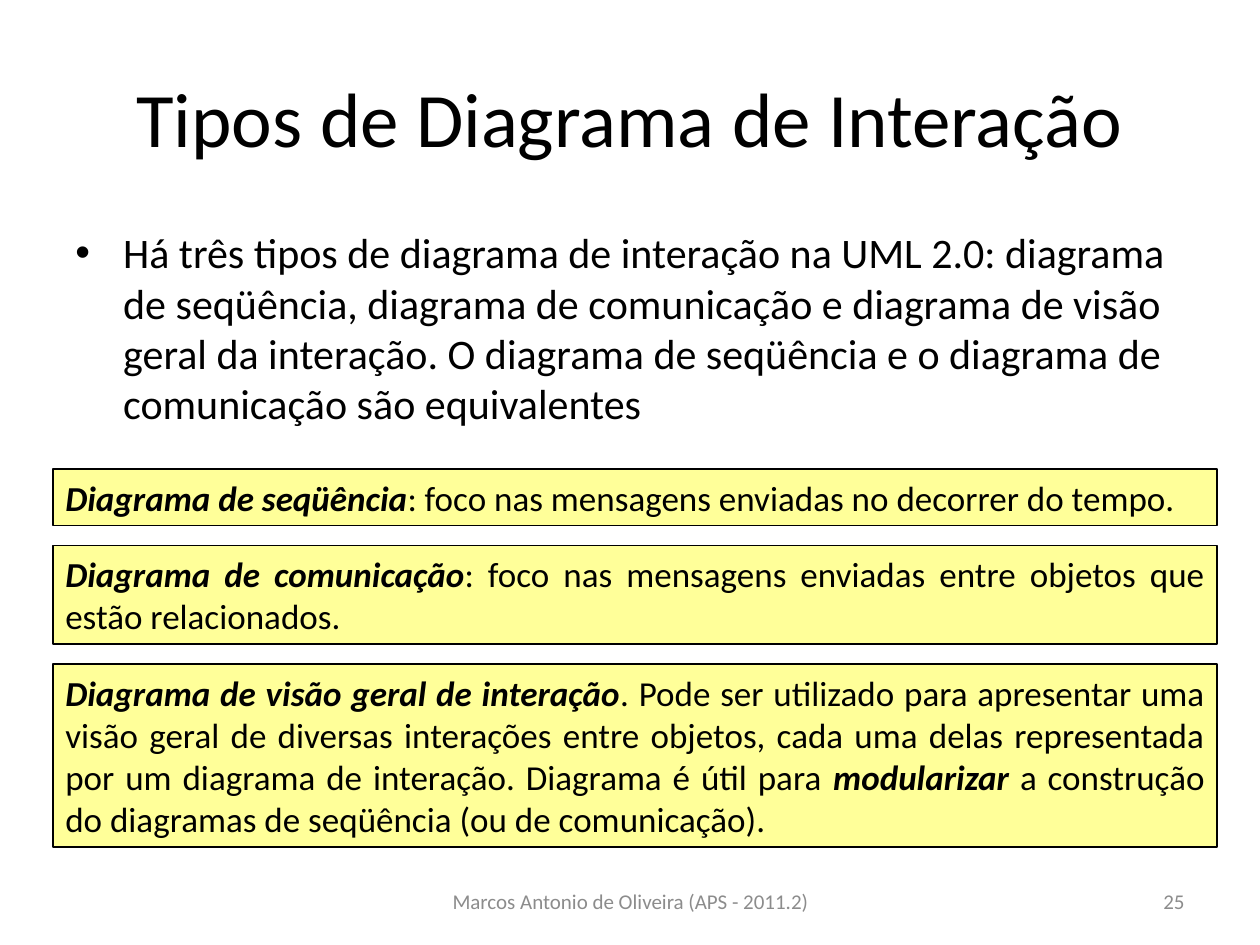
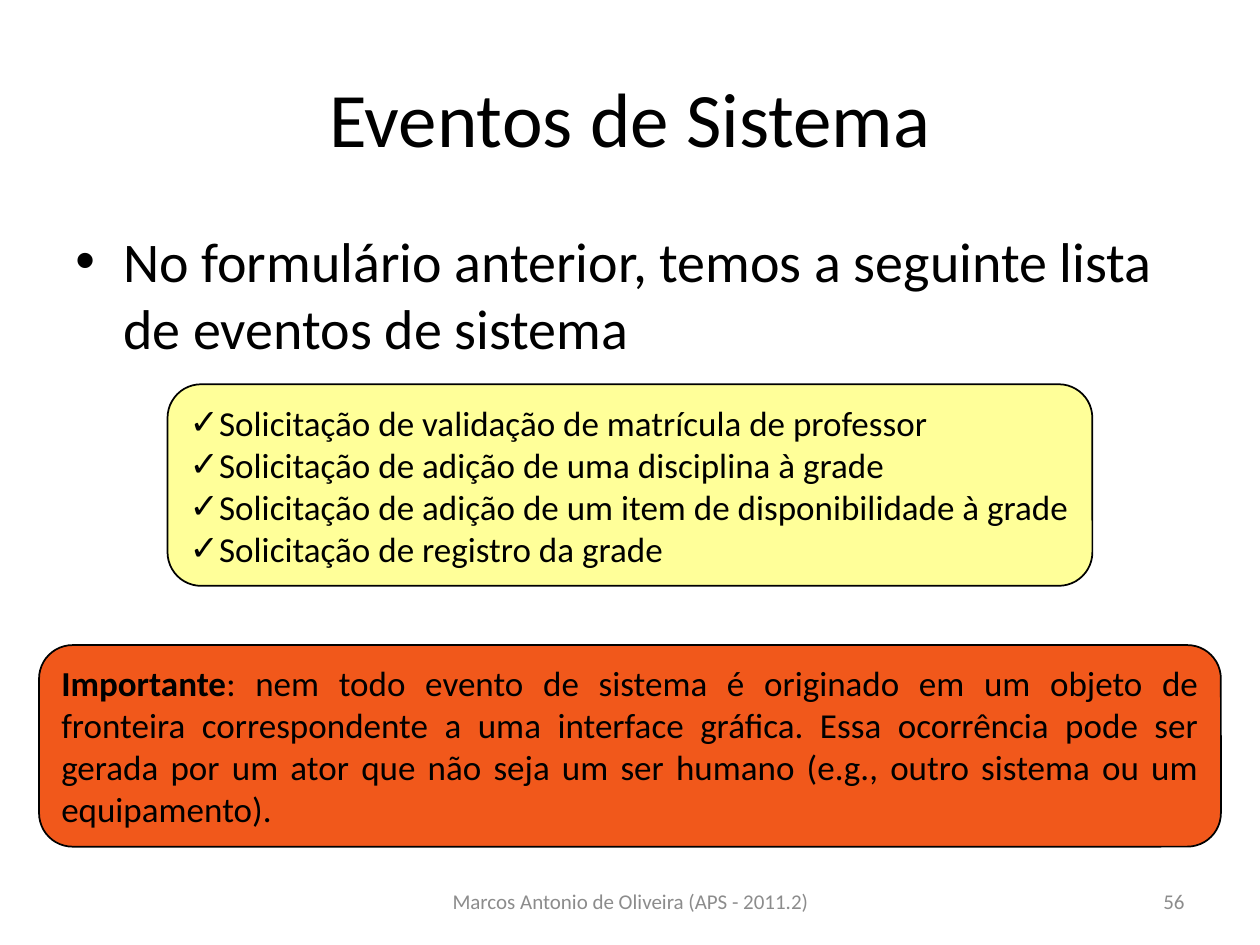
"""Builds two lecture slides on UML interaction diagrams and system events."""
from lxml import etree
from pptx import Presentation
from pptx import util as u
from pptx.dml.color import RGBColor
from pptx.enum import shapes, text
from pptx.oxml import ns

FONT = "Calibri"
BLACK, GREY, YELLOW, ORANGE = "000000", "8C8C8C", "FFFF99", "F1581B"
AUTHOR = "Marcos Antonio de Oliveira (APS - 2011.2)"
ALIGN, ANCHOR = text.PP_ALIGN, text.MSO_ANCHOR
RECTANGLE = shapes.MSO_SHAPE.RECTANGLE
ROUNDED = shapes.MSO_SHAPE.ROUNDED_RECTANGLE


def color(code):
    """Return the colour for a hex string."""
    return RGBColor.from_string(code)


def add_bullet(para, character, indent=0):
    """Give a paragraph a bullet character and a hanging indent in inches."""
    props = para._p.get_or_add_pPr()
    props.set("marL", str(u.Inches(indent)))
    props.set("indent", str(-u.Inches(indent)))
    etree.SubElement(props, ns.qn("a:buFont")).set("typeface", "Arial")
    etree.SubElement(props, ns.qn("a:buChar")).set("char", character)


def write_paragraph(para, spans, size, align, code=BLACK):
    """Fill a paragraph with (words, bold, italic) spans in one font."""
    para.alignment = align
    para.font.name, para.font.size = FONT, u.Pt(size)
    para.font.color.rgb = color(code)
    for words, bold, italic in spans:
        span = para.add_run()
        span.text = words
        if bold:
            span.font.bold = True
        if italic:
            span.font.italic = True


def plain(words):
    """Return a single unstyled span."""
    return [(words, False, False)]


def add_text(page, place, words, size, align, code=BLACK, anchor=ANCHOR.MIDDLE):
    """Add a wrapped one-paragraph text box and return its paragraph."""
    box = page.shapes.add_textbox(*map(u.Inches, place))
    frame = box.text_frame
    frame.word_wrap = True
    frame.vertical_anchor = anchor
    para = frame.paragraphs[0]
    write_paragraph(para, plain(words), size, align, code)
    return para


def add_page(deck, title, intro, intro_size, number):
    """Add a slide with its title, bulleted introduction and footer."""
    page = deck.slides.add_slide(deck.slide_layouts[6])
    add_text(page, (0.5, 0.3, 9, 1.25), title, 44, ALIGN.CENTER)
    para = add_text(page, (0.5, 1.75, 9, 4.95), intro, intro_size, ALIGN.LEFT,
                    anchor=ANCHOR.TOP)
    para.space_before = u.Pt(0.2 * intro_size)
    add_bullet(para, "•", 0.38)
    add_text(page, (3.42, 6.95, 3.17, 0.4), AUTHOR, 12, ALIGN.CENTER, GREY)
    add_text(page, (7.17, 6.95, 2.33, 0.4), str(number), 12, ALIGN.RIGHT, GREY)
    return page


def add_panel(page, kind, place, fill, paragraphs, align=ALIGN.JUSTIFY, bullet=None):
    """Add an outlined, filled panel holding paragraphs of spans."""
    panel = page.shapes.add_shape(kind, *map(u.Inches, place))
    panel.shadow.inherit = False
    panel.fill.solid()
    panel.fill.fore_color.rgb = color(fill)
    panel.line.color.rgb = color(BLACK)
    panel.line.width = u.Pt(1)
    frame = panel.text_frame
    frame.word_wrap = True
    frame.vertical_anchor = ANCHOR.MIDDLE
    for index, spans in enumerate(paragraphs):
        para = frame.add_paragraph() if index else frame.paragraphs[0]
        write_paragraph(para, spans, 20, align)
        if bullet:
            add_bullet(para, bullet)


def build_diagram_types(deck):
    """Build the slide on the three types of interaction diagram."""
    page = add_page(
        deck, "Tipos de Diagrama de Interação",
        "Há três tipos de diagrama de interação na UML 2.0: diagrama de seqüência, "
        "diagrama de comunicação e diagrama de visão geral da interação. O diagrama "
        "de seqüência e o diagrama de comunicação são equivalentes", 24, 25)
    definitions = [
        (0.45, [("Diagrama de seqüência", True, True),
                (": foco nas mensagens enviadas no decorrer do tempo.", False, False)]),
        (0.78, [("Diagrama de comunicação", True, True),
                (": foco nas mensagens enviadas entre objetos que estão relacionados.",
                 False, False)]),
        (1.45, [("Diagrama de visão geral de interação", True, True),
                (". Pode ser utilizado para apresentar uma visão geral de diversas "
                 "interações entre objetos, cada uma delas representada por um diagrama "
                 "de interação. Diagrama é útil para ", False, False),
                ("modularizar", True, True),
                (" a construção do diagramas de seqüência (ou de comunicação).",
                 False, False)]),
    ]
    top, gap = 3.72, 0.16
    for height, spans in definitions:
        add_panel(page, RECTANGLE, (0.42, top, 9.24, height), YELLOW, [spans])
        top += height + gap


def build_system_events(deck):
    """Build the slide listing the system events."""
    page = add_page(
        deck, "Eventos de Sistema",
        "No formulário anterior, temos a seguinte lista de eventos de sistema", 32, 56)
    events = [
        "Solicitação de validação de matrícula de professor",
        "Solicitação de adição de uma disciplina à grade",
        "Solicitação de adição de um item de disponibilidade à grade",
        "Solicitação de registro da grade",
    ]
    add_panel(page, ROUNDED, (1.33, 3.05, 7.34, 1.6), YELLOW,
              map(plain, events), ALIGN.LEFT, "✓")
    warning = [
        ("Importante", True, False),
        (": nem todo evento de sistema é originado em um objeto de fronteira "
         "correspondente a uma interface gráfica. Essa ocorrência pode ser gerada por "
         "um ator que não seja um ser humano (e.g., outro sistema ou um equipamento).",
         False, False),
    ]
    add_panel(page, ROUNDED, (0.31, 5.12, 9.38, 1.6), ORANGE, [warning])


def main():
    """Build and save the deck."""
    deck = Presentation()
    deck.slide_width, deck.slide_height = u.Inches(10), u.Inches(7.5)
    build_diagram_types(deck)
    build_system_events(deck)
    deck.save("out.pptx")


if __name__ == "__main__":
    main()
